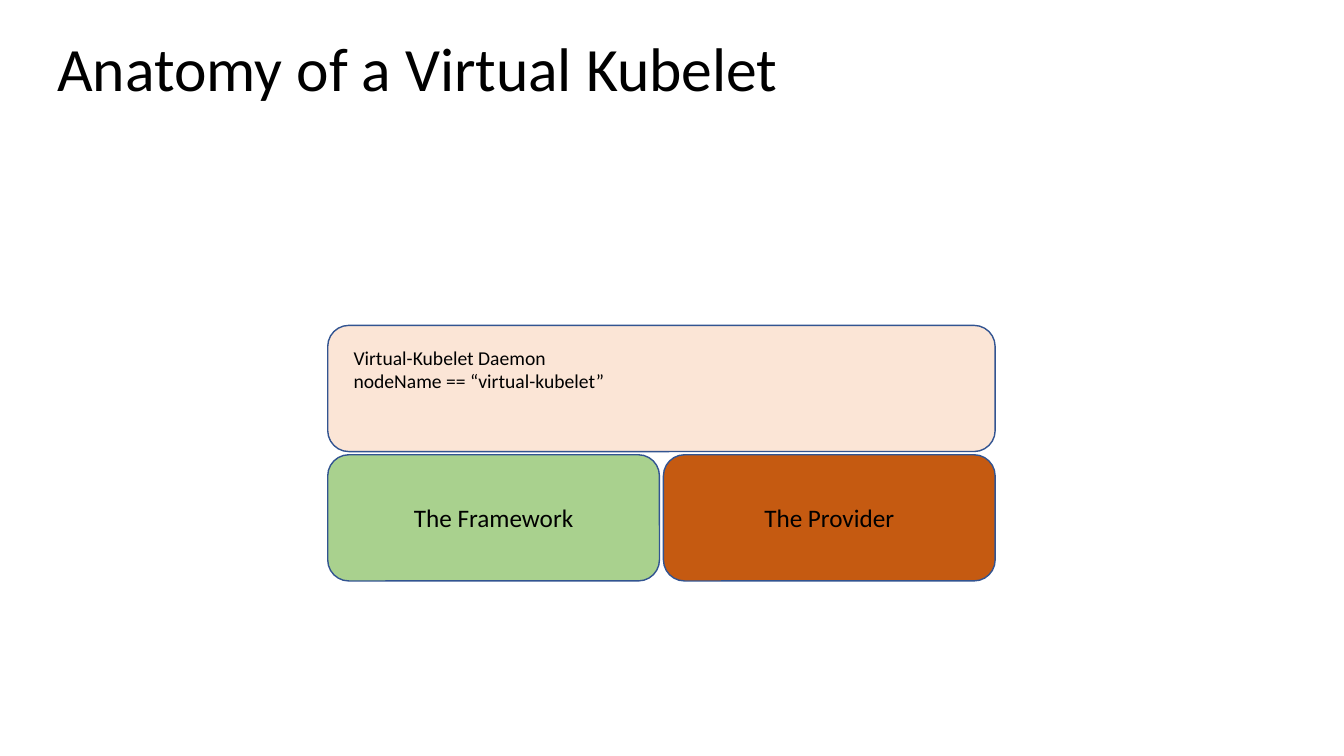
from dataclasses import dataclass

from pptx import Presentation
from pptx.dml.color import RGBColor
from pptx.enum.shapes import MSO_SHAPE
from pptx.enum.text import MSO_ANCHOR, MSO_AUTO_SIZE, PP_ALIGN
from pptx.util import Cm, Pt


@dataclass(frozen=True)
class Theme:
    font: str = "Calibri"
    text: str = "000000"
    outline: str = "325491"
    daemon: str = "FBE5D6"
    framework: str = "A9D18E"
    provider: str = "C55A11"
    title_size: int = 44
    part_size: int = 18
    detail_size: int = 14


theme = Theme()


def add_text(paragraph, text, size):
    run = paragraph.add_run()
    run.text = text
    run.font.name = theme.font
    run.font.size = Pt(size)
    run.font.color.rgb = RGBColor.from_string(theme.text)


def add_block(left, top, width, fill):
    block = slide.shapes.add_shape(
        MSO_SHAPE.ROUNDED_RECTANGLE, Cm(left), Cm(top), Cm(width), Cm(block_height))
    block.shadow.inherit = False
    block.fill.solid()
    block.fill.fore_color.rgb = RGBColor.from_string(fill)
    block.line.color.rgb = RGBColor.from_string(theme.outline)
    block.line.width = Pt(1)
    return block


prs = Presentation()
prs.slide_width, prs.slide_height = Cm(33.87), Cm(19.05)
slide = prs.slides.add_slide(prs.slide_layouts[5])

# Title
title = slide.shapes.title
title.left, title.top, title.width, title.height = Cm(1.19), Cm(-0.03), Cm(29.21), Cm(3.68)
title.text_frame.auto_size = MSO_AUTO_SIZE.NONE
title.text_frame.vertical_anchor = MSO_ANCHOR.MIDDLE
heading = title.text_frame.paragraphs[0]
heading.alignment = PP_ALIGN.LEFT
heading.line_spacing = 0.9
add_text(heading, "Anatomy of a Virtual Kubelet", theme.title_size)

# Stack measures in centimetres
stack_left, stack_top, stack_width = 8.26, 8.2, 16.82
block_height, row_gap, column_gap = 3.18, 0.08, 0.1
part_width = (stack_width - column_gap) / 2
parts_top = stack_top + block_height + row_gap

# Daemon across the top, with its details
add_block(stack_left, stack_top, stack_width, theme.daemon)
details = slide.shapes.add_textbox(Cm(8.66), Cm(8.59), Cm(15.29), Cm(1.45)).text_frame
details.word_wrap = True
details.auto_size = MSO_AUTO_SIZE.SHAPE_TO_FIT_TEXT
add_text(details.paragraphs[0], "Virtual-Kubelet Daemon", theme.detail_size)
add_text(details.add_paragraph(), "nodeName == “virtual-kubelet”", theme.detail_size)

# Framework and provider side by side below
parts = [("The Framework", theme.framework), ("The Provider", theme.provider)]
for column, (name, fill) in enumerate(parts):
    part_left = stack_left + column * (part_width + column_gap)
    part = add_block(part_left, parts_top, part_width, fill)
    part.text_frame.vertical_anchor = MSO_ANCHOR.MIDDLE
    label = part.text_frame.paragraphs[0]
    label.alignment = PP_ALIGN.CENTER
    add_text(label, name, theme.part_size)

prs.save("out.pptx")
